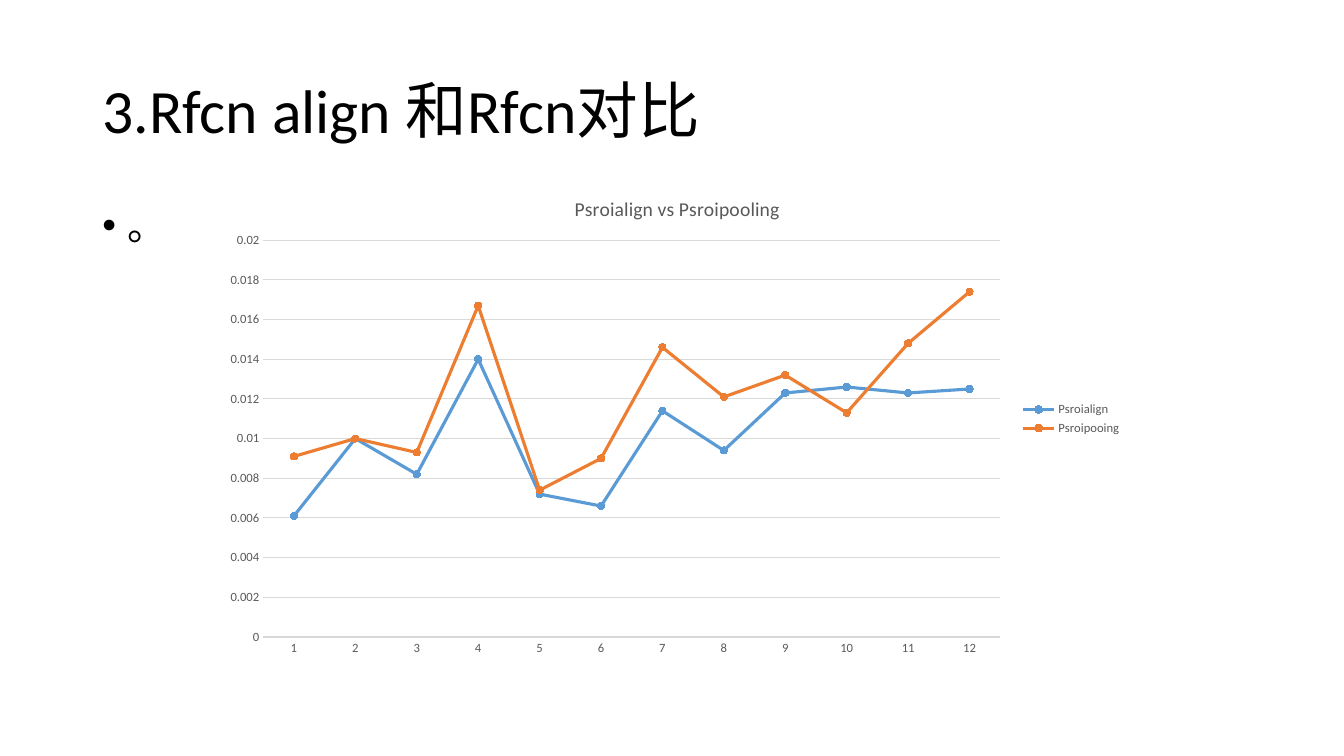
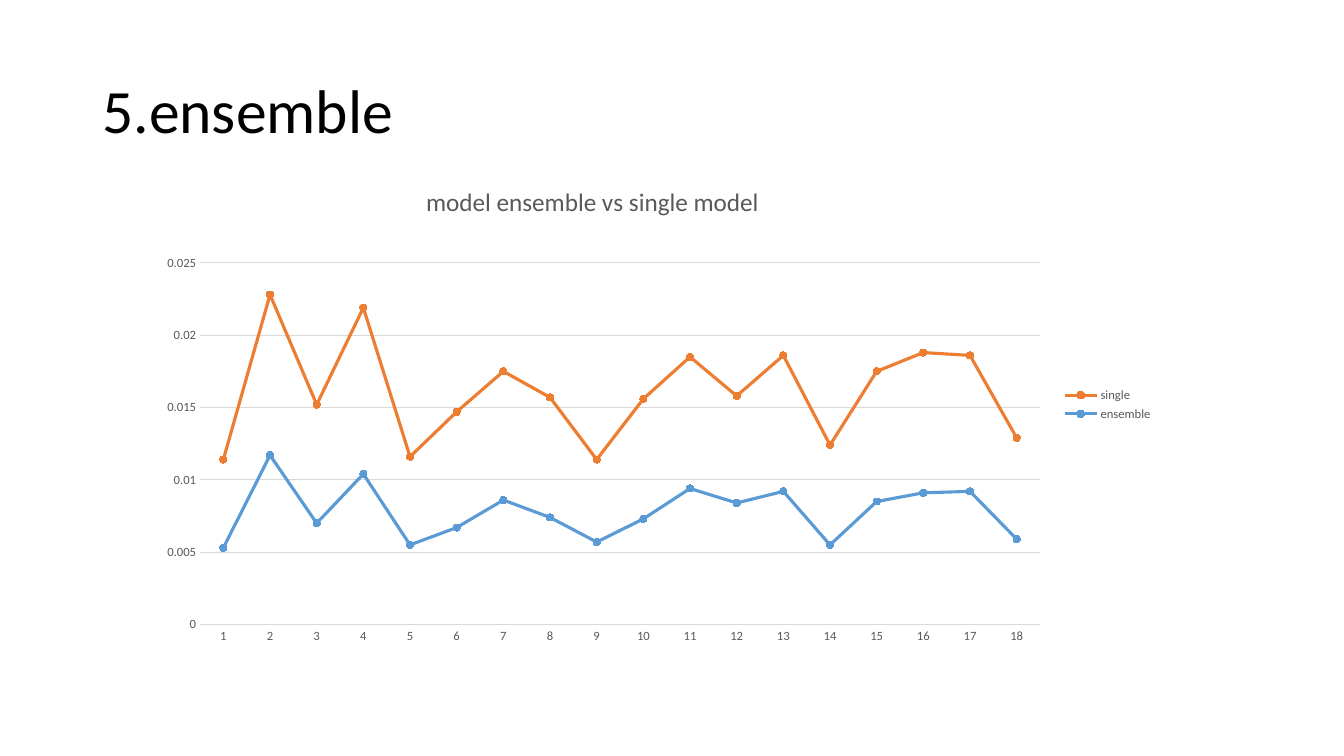
from lxml import etree
from pptx import Presentation, util as u
from pptx.chart import data as cd
from pptx.dml import color as co
from pptx.enum import chart as ec, text as et
from pptx.oxml import ns

FONT = "Calibri"
BLACK, GRAY, GRID = "000000", "595959", "D9D9D9"
BLUE, ORANGE = "5B9BD5", "ED7D31"
TITLE = (2.33, 1.01, 29.21, 3.68)
BODY = (2.33, 5.07, 29.21, 12.09)


def paint(part, tint):
    if hasattr(part, "solid"):
        part.solid()
        part = part.fore_color
    else:
        part = part.color
    part.rgb = co.RGBColor.from_string(tint)


def style(font, size, tint):
    font.name, font.size, font.bold = FONT, u.Pt(size), False
    paint(font, tint)


def stroke(line, tint, width):
    paint(line.fill, tint)
    line.width = u.Pt(width)


def add_text(slide, box, words, size, anchor):
    frame = slide.shapes.add_textbox(*map(u.Cm, box)).text_frame
    frame.word_wrap = True
    frame.vertical_anchor = anchor
    para = frame.paragraphs[0]
    para.text = words
    para.line_spacing = 0.9
    style(para.runs[0].font, size, BLACK)
    return para


def add_title(slide, words):
    add_text(slide, TITLE, words, 44, et.MSO_ANCHOR.MIDDLE)


def add_bullet(slide, words):
    para = add_text(slide, BODY, words, 28, et.MSO_ANCHOR.TOP)
    para.space_before = u.Pt(10)
    props = para.runs[0].font and para.line_spacing and para._p.get_or_add_pPr()
    indent = u.Cm(0.63)
    props.set("marL", str(indent))
    props.set("indent", str(-indent))
    etree.SubElement(props, ns.qn("a:buFont")).set("typeface", "Arial")
    etree.SubElement(props, ns.qn("a:buChar")).set("char", "•")


def place(part, index, **values):
    lay = part.find(ns.qn("c:layout"))
    if lay is None:
        lay = part.makeelement(ns.qn("c:layout"))
        part.insert(index, lay)
    manual = etree.SubElement(lay, ns.qn("c:manualLayout"))
    for key, value in values.items():
        etree.SubElement(manual, ns.qn("c:" + key)).set("val", str(value))


def add_chart(slide, box, kind, title, size, corner, plot, series):
    data = cd.CategoryChartData()
    count = len(series[0][2])
    data.categories = [str(i + 1) for i in range(count)]
    for name, tint, values in series:
        data.add_series(name, values)
    chart = slide.shapes.add_chart(kind, *map(u.Cm, box), data).chart
    style(chart.font, 10, BLACK)

    chart.has_title = True
    para = chart.chart_title.text_frame.paragraphs[0]
    para.text = title
    style(para.runs[0].font, size, GRAY)
    chart.has_legend = True
    chart.legend.position = ec.XL_LEGEND_POSITION.RIGHT
    chart.legend.include_in_layout = False
    style(chart.legend.font, 9, GRAY)

    for axis in (chart.category_axis, chart.value_axis):
        axis.major_tick_mark = axis.minor_tick_mark = ec.XL_TICK_MARK.NONE
        style(axis.tick_labels.font, 9, GRAY)
    stroke(chart.category_axis.format.line, GRID, 0.75)
    chart.value_axis.format.line.fill.background()
    stroke(chart.value_axis.major_gridlines.format.line, GRID, 0.75)

    chart.plots[0].vary_by_categories = False
    for line, (name, tint, values) in zip(chart.plots[0].series, series):
        line.smooth = False
        stroke(line.format.line, tint, 2.25)
        mark = line.marker
        mark.style, mark.size = ec.XL_MARKER_STYLE.CIRCLE, 5
        paint(mark.format.fill, tint)
        stroke(mark.format.line, tint, 0.75)

    root = chart.element
    place(root.xpath("c:chart/c:title")[0], 1, xMode="edge", yMode="edge",
          x=corner[0], y=corner[1])
    place(root.xpath("c:chart/c:plotArea")[0], 0, layoutTarget="inner",
          xMode="edge", yMode="edge", **dict(zip("xywh", plot)))


def align_slide(slide):
    add_title(slide, "3.Rfcn align 和Rfcn对比")
    add_bullet(slide, "。")
    add_chart(
        slide, (5.36, 4.32, 23.16, 12.47), ec.XL_CHART_TYPE.LINE_MARKERS,
        "Psroialign vs Psroipooling", 14, (0.39, 0.04),
        (0.055, 0.139, 0.802, 0.802),
        [("Psroialign", BLUE,
          (0.0061, 0.01, 0.0082, 0.014, 0.0072, 0.0066,
           0.0114, 0.0094, 0.0123, 0.0126, 0.0123, 0.0125)),
         ("Psroipooing", ORANGE,
          (0.0091, 0.01, 0.0093, 0.0167, 0.0074, 0.009,
           0.0146, 0.0121, 0.0132, 0.0113, 0.0148, 0.0174))])


def model_slide(slide):
    add_title(slide, "5.ensemble")
    add_chart(
        slide, (3.71, 3.91, 25.6, 12.57),
        ec.XL_CHART_TYPE.LINE_MARKERS_STACKED,
        "model ensemble vs single model", 18, (0.27, 0.05),
        (0.052, 0.216, 0.827, 0.725),
        [("ensemble", BLUE,
          (0.0053, 0.0117, 0.007, 0.0104, 0.0055, 0.0067,
           0.0086, 0.0074, 0.0057, 0.0073, 0.0094, 0.0084,
           0.0092, 0.0055, 0.0085, 0.0091, 0.0092, 0.0059)),
         ("single", ORANGE,
          (0.0061, 0.0111, 0.0082, 0.0115, 0.0061, 0.008,
           0.0089, 0.0083, 0.0057, 0.0083, 0.0091, 0.0074,
           0.0094, 0.0069, 0.009, 0.0097, 0.0094, 0.007))])


def main():
    deck = Presentation()
    deck.slide_width, deck.slide_height = u.Cm(33.87), u.Cm(19.05)
    for build in (align_slide, model_slide):
        build(deck.slides.add_slide(deck.slide_layouts[6]))
    deck.save("out.pptx")


if __name__ == "__main__":
    main()
